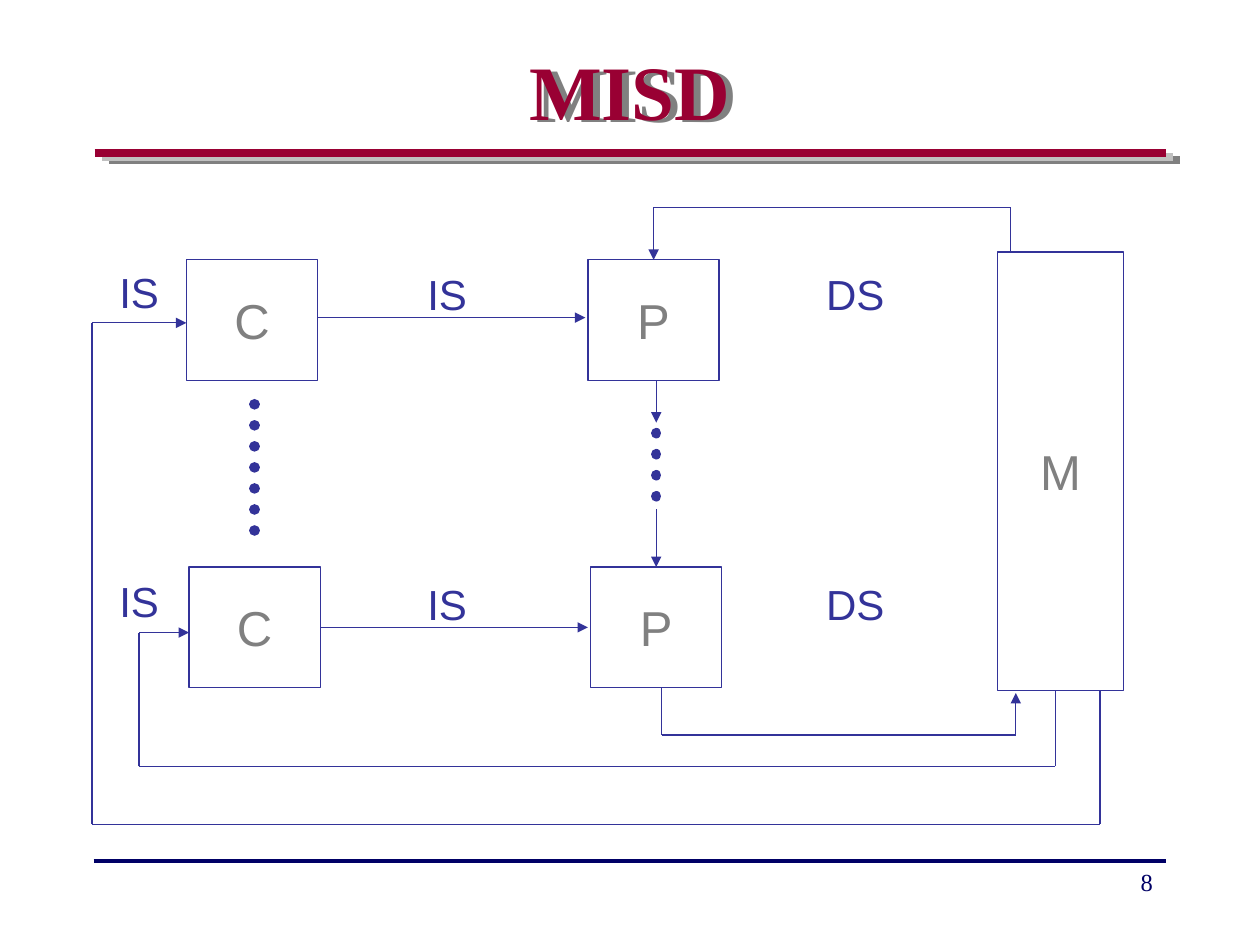
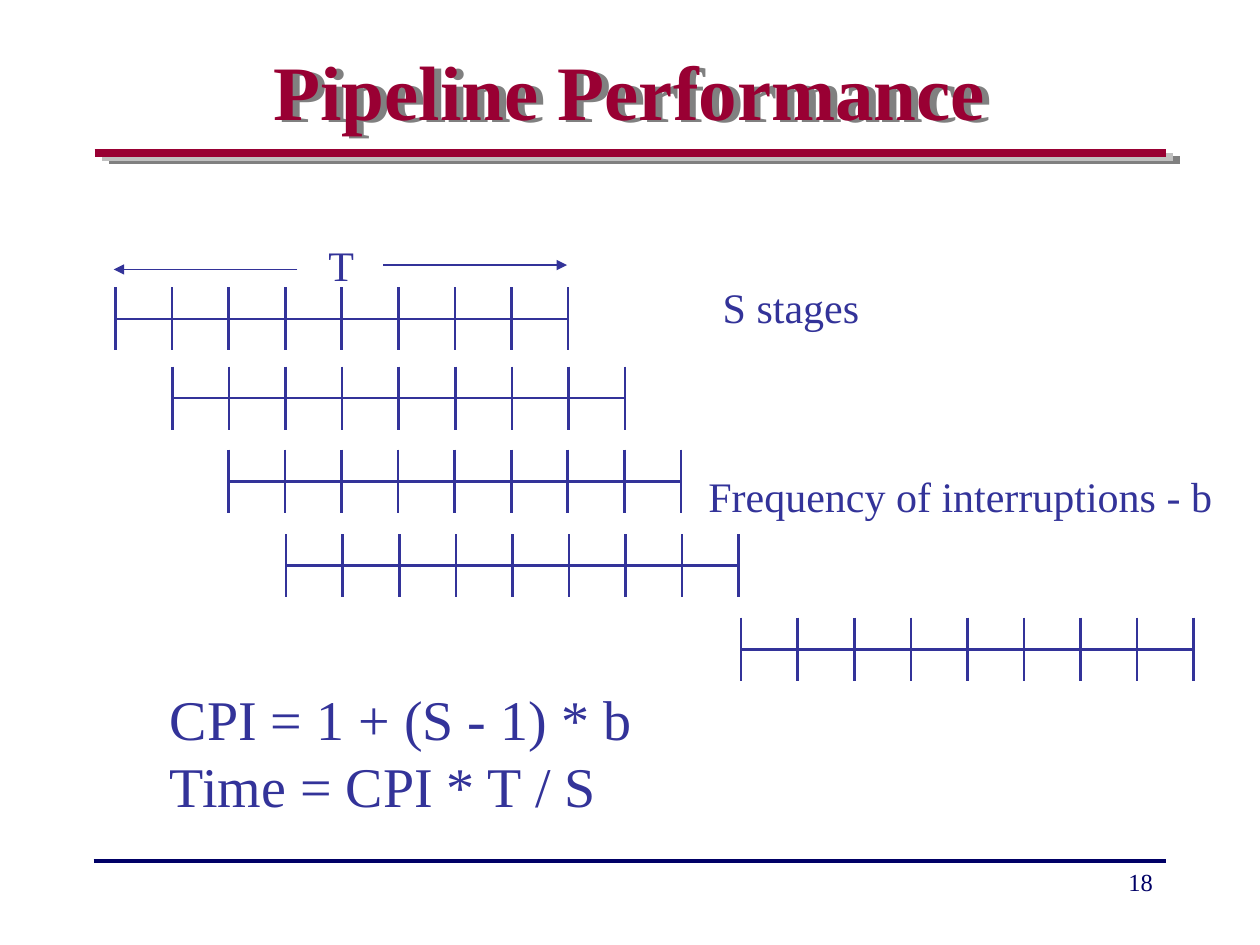
from itertools import pairwise

from lxml.etree import SubElement
from pptx import Presentation
from pptx.dml.color import RGBColor
from pptx.enum.dml import MSO_LINE
from pptx.enum.shapes import MSO_CONNECTOR, MSO_SHAPE
from pptx.enum.text import MSO_ANCHOR, MSO_AUTO_SIZE, PP_ALIGN
from pptx.oxml.ns import qn
from pptx.util import Pt

CRIMSON, NAVY, BLUE = "990033", "000066", "333399"
GREY, SILVER, WHITE = "808080", "C0C0C0", "FFFFFF"
SERIF, SANS = "Times New Roman", "Arial"

# Shared rules: start, end, colour, width
RULES = [
    ((62.5, 91.5), (674.5, 91.5), GREY, 4.5),
    ((58.25, 89.5), (670.25, 89.5), SILVER, 4.5),
    ((54, 87.5), (666, 87.5), CRIMSON, 4.5),
    ((53.5, 492), (666, 492), NAVY, 2.25),
]

# MISD: units are text, left, top, width, height
UNITS = [
    ("C", 106.5, 148.5, 75, 69),
    ("C", 108, 324, 75, 69),
    ("P", 336, 148.5, 75, 69),
    ("P", 337.5, 324, 75, 69),
    ("M", 570, 144, 72, 250.5),
]
# Each wire runs through its corners and ends in an arrowhead
WIRES = [
    [(181.5, 181.5), (334.5, 181.5)],
    [(183, 358.5), (336, 358.5)],
    [(577.5, 144), (577.5, 118.5), (373.5, 118.5), (373.5, 148.5)],
    [(375, 217.5), (375, 241.5)],
    [(375, 291), (375, 324)],
    [(378, 393), (378, 420), (580.5, 420), (580.5, 396)],
    [(603, 394.5), (603, 438), (79.5, 438), (79.5, 361.5), (108, 361.5)],
    [(628.5, 394.5), (628.5, 471), (52.5, 471), (52.5, 184.5), (106.5, 184.5)],
]
DOTTED_LINES = [((145.5, 231), (145.5, 310.5)), ((375, 247.5), (375, 291))]
# Stream labels: text, left, width, tops of the upper and lower one
STREAM_LABELS = [
    ("IS", 61, 37, (148.5, 325.5)),
    ("IS", 237, 37, (150, 327)),
    ("DS", 465, 47.5, (150, 327)),
]

# Pipeline Performance
STAGES, STAGE_WIDTH, TICK_HEIGHT = 8, 32.33, 36
PIPELINES = [(66, 164.25), (98.5, 209.5), (130.5, 257), (163.5, 305.25), (423.5, 353)]
TIME_ARROWS = [((219, 151.5), (324, 151.5)), ((170, 154), (65, 154))]
# Text, left, top, width, height, size, alignment
PIPELINE_TEXTS = [
    ("CPI = 1 + (S - 1) * b\nTime = CPI * T / S", 90, 387.5, 278, 84, 32, PP_ALIGN.LEFT),
    ("T", 180.5, 133.5, 29, 36, 24, PP_ALIGN.CENTER),
    ("S stages", 406, 157.5, 92, 36, 24, PP_ALIGN.CENTER),
    ("Frequency of interruptions - b", 397.5, 265.5, 302.5, 36, 24, PP_ALIGN.CENTER),
]


def colour(value):
    return RGBColor.from_string(value)


def write(shape, text, font, size, hue, align=PP_ALIGN.CENTER,
          anchor=MSO_ANCHOR.MIDDLE, wrap=False, bold=False):
    frame = shape.text_frame
    frame.text = text
    frame.word_wrap = wrap
    frame.auto_size = MSO_AUTO_SIZE.NONE
    frame.vertical_anchor = anchor
    for para in frame.paragraphs:
        para.alignment = align
        for span in para.runs:
            span.font.name = font
            span.font.size = Pt(size)
            span.font.bold = bold
            span.font.color.rgb = colour(hue)


def add_text(page, text, left, top, width, height, font, size, hue, **style):
    box = page.shapes.add_textbox(Pt(left), Pt(top), Pt(width), Pt(height))
    write(box, text, font, size, hue, **style)


def add_line(page, start, end, hue=BLUE, width=0.75, arrow=False, dotted=False):
    line = page.shapes.add_connector(
        MSO_CONNECTOR.STRAIGHT, *(Pt(value) for value in (*start, *end)))
    line.line.color.rgb = colour(hue)
    line.line.width = Pt(width)
    properties = line._element.spPr
    stroke = properties.find(qn("a:ln"))
    if dotted:
        line.line.dash_style = MSO_LINE.ROUND_DOT
        stroke.set("cap", "rnd")
    if arrow:
        SubElement(stroke, qn("a:tailEnd"), type="triangle")
    SubElement(properties, qn("a:effectLst"))


def add_title_shadow(title):
    effects = SubElement(title._element.spPr, qn("a:effectLst"))
    shadow = SubElement(effects, qn("a:outerShdw"), dist="50800", dir="900000",
                        algn="ctr", rotWithShape="0")
    SubElement(shadow, qn("a:srgbClr"), val=GREY)


def add_page(deck, heading, number):
    """Add a slide with the shared title, rules and page number."""
    page = deck.slides.add_slide(deck.slide_layouts[5])
    for rule in RULES:
        add_line(page, *rule)
    title = page.shapes.title
    title.left, title.top, title.width, title.height = Pt(54), Pt(6.5), Pt(612), Pt(90)
    write(title, heading, SERIF, 44, CRIMSON, wrap=True, bold=True)
    add_title_shadow(title)
    add_text(page, number, 516, 492, 150, 36, SERIF, 14, NAVY,
             align=PP_ALIGN.RIGHT, anchor=MSO_ANCHOR.TOP, wrap=True)
    return page


def add_unit(page, name, left, top, width, height):
    unit = page.shapes.add_shape(
        MSO_SHAPE.RECTANGLE, Pt(left), Pt(top), Pt(width), Pt(height))
    unit.shadow.inherit = False
    unit.fill.solid()
    unit.fill.fore_color.rgb = colour(WHITE)
    unit.line.color.rgb = colour(BLUE)
    unit.line.width = Pt(0.75)
    write(unit, name, SANS, 28, GREY)


def add_wire(page, corners):
    for start, end in pairwise(corners):
        add_line(page, start, end, arrow=end == corners[-1])


def add_pipeline(page, left, top):
    """Draw one instruction as a bar with a tick at each stage boundary."""
    for stage in range(STAGES + 1):
        x = left + stage * STAGE_WIDTH
        add_line(page, (x, top), (x, top + TICK_HEIGHT), width=1.5)
    middle = top + TICK_HEIGHT / 2
    add_line(page, (left, middle), (left + STAGES * STAGE_WIDTH, middle), width=1.5)


def build_misd(deck):
    page = add_page(deck, "MISD", "8")
    for unit in UNITS:
        add_unit(page, *unit)
    for start, end in DOTTED_LINES:
        add_line(page, start, end, width=6, dotted=True)
    for corners in WIRES:
        add_wire(page, corners)
    for text, left, width, tops in STREAM_LABELS:
        for top in tops:
            add_text(page, text, left, top, width, 36, SANS, 24, BLUE)


def build_pipeline_performance(deck):
    page = add_page(deck, "Pipeline Performance", "18")
    for left, top in PIPELINES:
        add_pipeline(page, left, top)
    for start, end in TIME_ARROWS:
        add_line(page, start, end, arrow=True)
    for text, left, top, width, height, size, align in PIPELINE_TEXTS:
        add_text(page, text, left, top, width, height, SERIF, size, BLUE, align=align)


def main():
    deck = Presentation()
    deck.slide_width, deck.slide_height = Pt(720), Pt(540)
    build_misd(deck)
    build_pipeline_performance(deck)
    deck.save("out.pptx")


if __name__ == "__main__":
    main()
